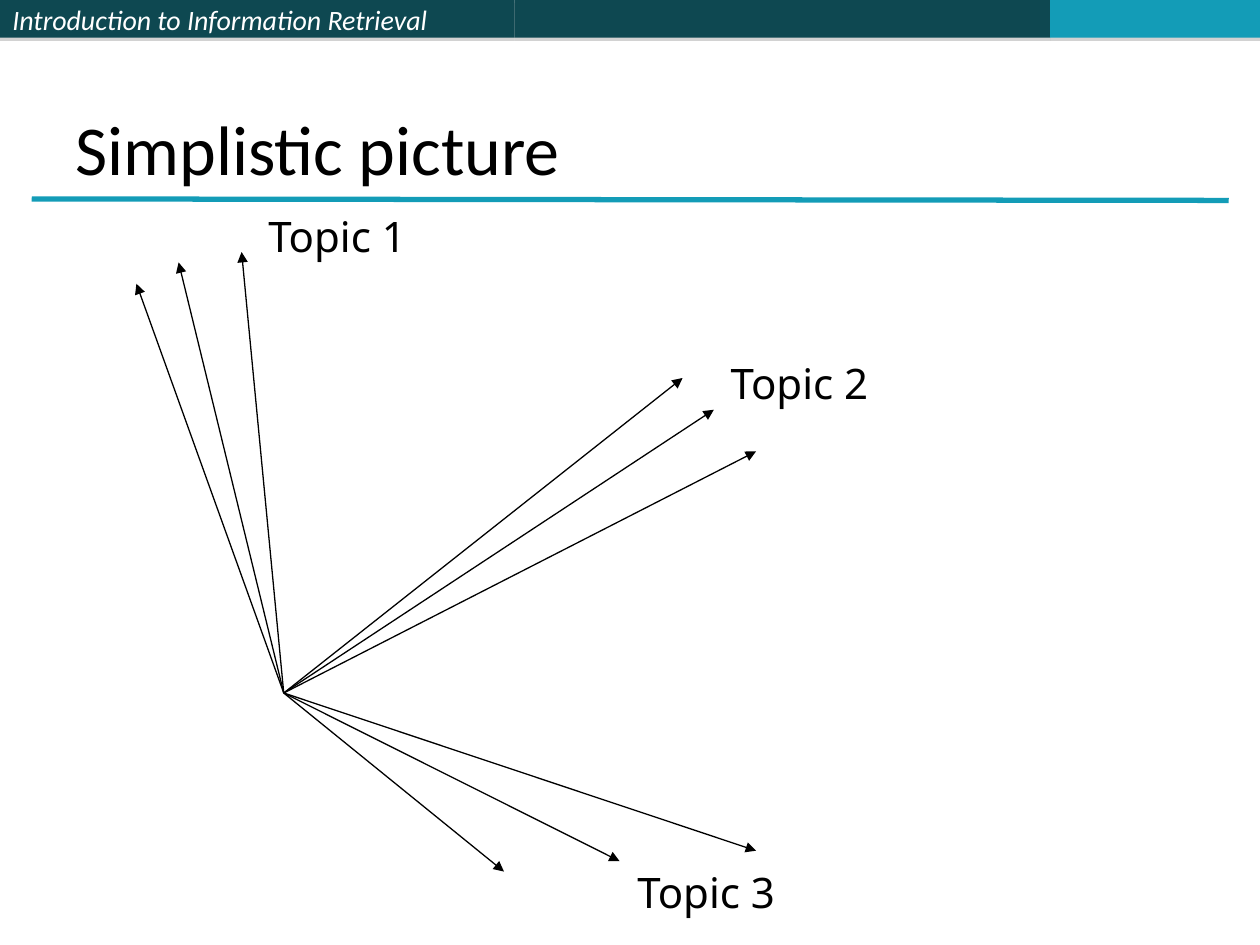
from lxml import etree
from pptx import Presentation
from pptx.dml.color import RGBColor
from pptx.enum.shapes import MSO_CONNECTOR as CONNECTOR, MSO_SHAPE as SHAPE
from pptx.enum.text import MSO_ANCHOR as ANCHOR, PP_ALIGN as ALIGN
from pptx.oxml.ns import qn
from pptx.util import Cm, Pt

DARK_TEAL = RGBColor(0x0E, 0x48, 0x51)
BRIGHT_TEAL = RGBColor(0x13, 0x9C, 0xB7)
BLACK = RGBColor(0, 0, 0)
WHITE = RGBColor(0xFF, 0xFF, 0xFF)


def write(shape, text, font_name, size, color, anchor, italic=False):
    frame = shape.text_frame
    frame.text = text
    frame.vertical_anchor = anchor
    paragraph = frame.paragraphs[0]
    paragraph.alignment = ALIGN.LEFT
    font = paragraph.runs[0].font
    font.name = font_name
    font.size = Pt(size)
    font.italic = italic
    font.color.rgb = color


def add_line(slide, start, end, color, width):
    line = slide.shapes.add_connector(
        CONNECTOR.STRAIGHT, Cm(start[0]), Cm(start[1]), Cm(end[0]), Cm(end[1])
    )
    line.line.color.rgb = color
    line.line.width = Pt(width)
    etree.SubElement(line._element.spPr, qn("a:effectLst"))
    return line


presentation = Presentation()
presentation.slide_width = Cm(25.4)
presentation.slide_height = Cm(19.05)
slide = presentation.slides.add_slide(presentation.slide_layouts[6])

header_bars = []
for left, right, color in [
    (0, 10.37, DARK_TEAL),
    (10.37, 21.17, DARK_TEAL),
    (21.17, 25.4, BRIGHT_TEAL),
]:
    bar = slide.shapes.add_shape(SHAPE.RECTANGLE, Cm(left), 0, Cm(right - left), Cm(0.76))
    bar.fill.solid()
    bar.fill.fore_color.rgb = color
    bar.line.fill.background()
    bar.shadow.inherit = False
    effects = bar._element.spPr.find(qn("a:effectLst"))
    shadow = etree.SubElement(
        effects, qn("a:outerShdw"), dist=str(Pt(1.8)), dir="5400000", rotWithShape="0"
    )
    shadow_color = etree.SubElement(shadow, qn("a:srgbClr"), val="808080")
    etree.SubElement(shadow_color, qn("a:alpha"), val="35000")
    header_bars.append(bar)
write(header_bars[0], "Introduction to Information Retrieval", "Calibri", 16, WHITE,
      ANCHOR.MIDDLE, italic=True)

add_line(slide, (0.64, 4.01), (24.77, 4.04), BRIGHT_TEAL, 3)

title = slide.shapes.add_textbox(Cm(1.27), Cm(0.76), Cm(22.86), Cm(3.18))
title.text_frame.word_wrap = True
write(title, "Simplistic picture", "Calibri", 40, BLACK, ANCHOR.BOTTOM)

origin = (5.72, 13.97)
topics = [
    ("Topic 1", (5.16, 4.11), [(2.75, 5.72), (3.6, 5.29), (4.87, 5.08)]),
    ("Topic 2", (14.48, 7.09), [(13.76, 7.62), (14.39, 8.26), (15.24, 9.1)]),
    ("Topic 3", (12.6, 17.35), [(12.49, 17.36), (10.16, 17.57), (15.24, 17.15)]),
]
for name, (left, top), tips in topics:
    for tip in tips:
        vector = add_line(slide, origin, tip, BLACK, 0.75)
        etree.SubElement(vector.line._get_or_add_ln(), qn("a:tailEnd"), type="triangle")
    label = slide.shapes.add_textbox(Cm(left), Cm(top), Cm(3.33), Cm(1.27))
    label.text_frame.word_wrap = False
    write(label, name, "Noto Sans", 24, BLACK, ANCHOR.TOP)

presentation.save("out.pptx")
